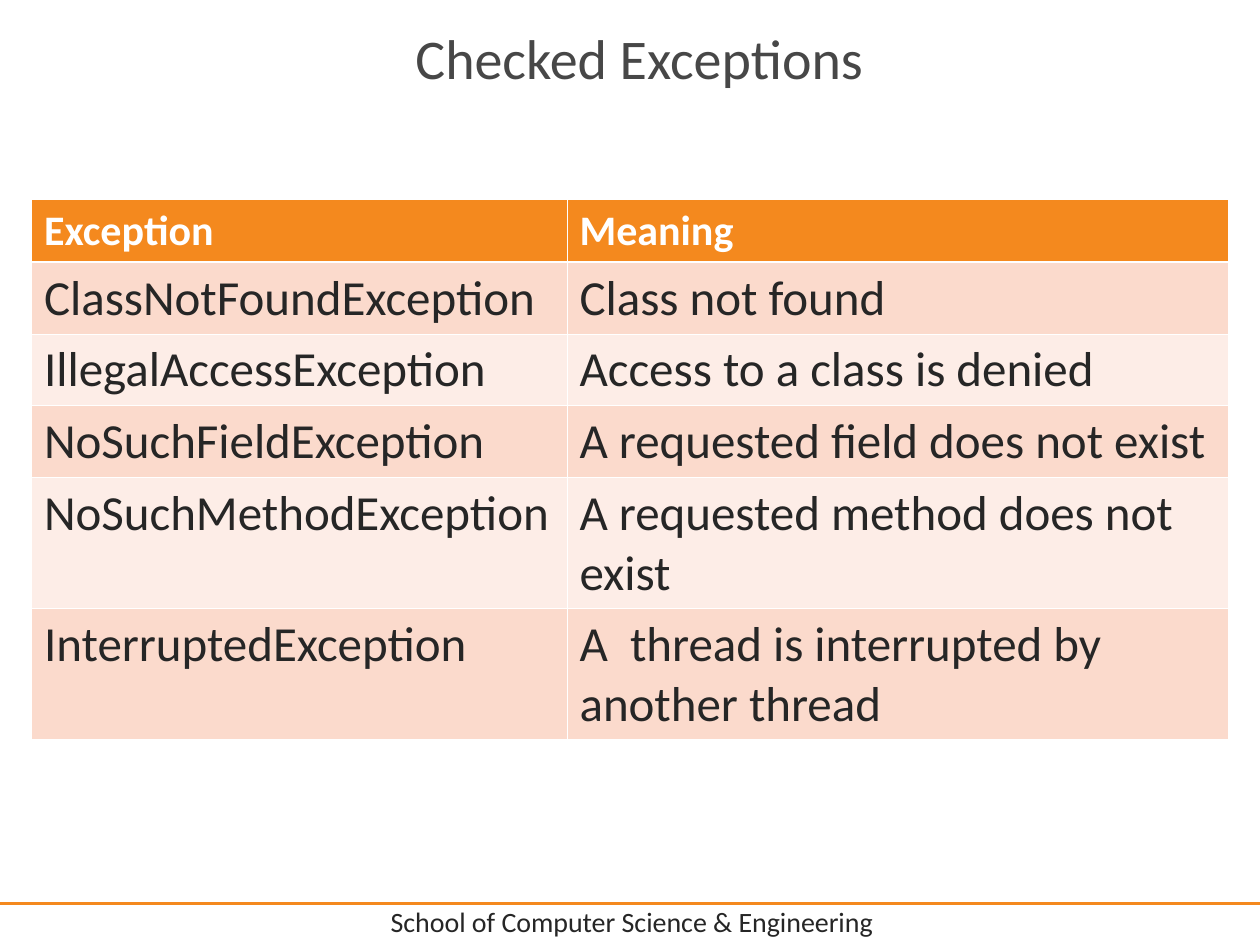
"""Build the Checked Exceptions slide with its table and footer."""
import pptx
import pptx.util
import pptx.dml.color
import pptx.enum.shapes
import pptx.enum.text
import pptx.oxml
import pptx.oxml.ns
import lxml.etree

Inches, Pt = pptx.util.Inches, pptx.util.Pt
RGBColor = pptx.dml.color.RGBColor
qn = pptx.oxml.ns.qn

ORANGE = RGBColor(0xF4, 0x89, 0x1E)
PEACH = RGBColor(0xFB, 0xDA, 0xCC)
PALE = RGBColor(0xFD, 0xED, 0xE7)
WHITE = RGBColor(0xFF, 0xFF, 0xFF)
DARK = RGBColor(0x26, 0x26, 0x26)
GREY = RGBColor(0x47, 0x47, 0x47)


def write(tf, text, color, **formats):
    r = tf.paragraphs[0].add_run()
    r.text = text
    for name, value in {"name": "Calibri", **formats}.items():
        setattr(r.font, name, value)
    r.font.color.rgb = color


def add_border(cell, side, width):
    ln = lxml.etree.SubElement(cell._tc.get_or_add_tcPr(), qn(f"a:ln{side}"), w=str(Pt(width)))
    fill = lxml.etree.SubElement(ln, qn("a:solidFill"))
    lxml.etree.SubElement(fill, qn("a:srgbClr"), val=str(WHITE))


prs = pptx.Presentation()
prs.slide_width, prs.slide_height = Inches(10), Inches(7.5)
s = prs.slides.add_slide(prs.slide_layouts[6])

rule = s.shapes.add_connector(
    pptx.enum.shapes.MSO_CONNECTOR.STRAIGHT,
    Inches(-0.08), Inches(7.17), Inches(10.08), Inches(7.17))
rule.line.color.rgb = ORANGE
rule.line.width = Pt(2)
lxml.etree.SubElement(rule._element.spPr, qn("a:effectLst"))

for text, left, top, height, size, color in [
    ("School of Computer Science & Engineering", 0.42, 7.13, 0.37, 16, DARK),
    ("Checked Exceptions", 0.48, 0.08, 0.75, 32, GREY),
]:
    sp = s.shapes.add_textbox(Inches(left), Inches(top), Inches(9.19), Inches(height))
    tf = sp.text_frame
    tf.word_wrap = True
    tf.vertical_anchor = pptx.enum.text.MSO_ANCHOR.MIDDLE
    tf.paragraphs[0].alignment = pptx.enum.text.PP_ALIGN.CENTER
    write(tf, text, color, size=Pt(size))

rows = [
    ("Exception", "Meaning"),
    ("ClassNotFoundException", "Class not found"),
    ("IllegalAccessException", "Access to a class is denied"),
    ("NoSuchFieldException", "A requested field does not exist"),
    ("NoSuchMethodException", "A requested method does not exist"),
    ("InterruptedException", "A  thread is interrupted by another thread"),
]
heights = [0.5, 0.57, 0.57, 0.57, 1.04, 1.04]
table = s.shapes.add_table(
    len(rows), 2, Inches(0.25), Inches(1.58), Inches(9.5), Inches(sum(heights))).table
for column, width in zip(table.columns, [4.25, 5.25]):
    column.width = Inches(width)

for i, (row, height) in enumerate(zip(rows, heights)):
    table.rows[i].height = Inches(height)
    header = i == 0
    for j, text in enumerate(row):
        cell = table.cell(i, j)
        widths = {"L": 0.45, "R": 0.45, "T": 1.47 if i == 1 else 0.45, "B": 1.47 if header else 0.45}
        for side, width in widths.items():
            add_border(cell, side, width)
        cell.fill.solid()
        cell.fill.fore_color.rgb = ORANGE if header else PEACH if i % 2 else PALE
        write(cell.text_frame, text, WHITE if header else DARK,
              size=Pt(24 if header else 28), bold=header)

prs.save("out.pptx")
